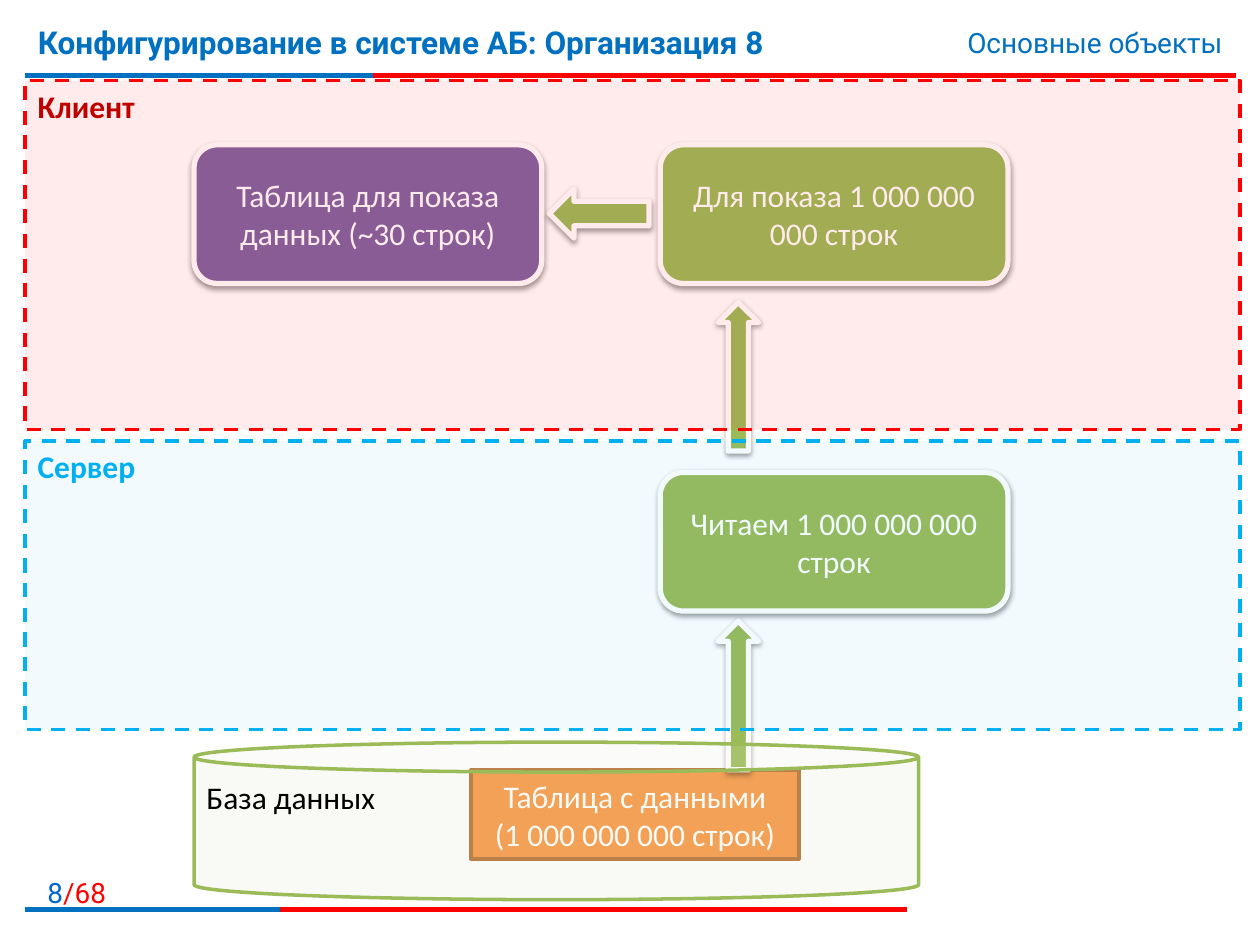
import pptx
import pptx.util
import pptx.dml.color
import pptx.enum.dml
import pptx.enum.shapes
import pptx.enum.text
import pptx.oxml
import pptx.oxml.ns
import lxml.etree

Inches = pptx.util.Inches
Pt = pptx.util.Pt
RGBColor = pptx.dml.color.RGBColor
SHAPE = pptx.enum.shapes.MSO_SHAPE
ALIGN = pptx.enum.text.PP_ALIGN
ANCHOR = pptx.enum.text.MSO_ANCHOR
qn = pptx.oxml.ns.qn

BLUE = RGBColor(0x00, 0x70, 0xC0)
PAGE_BLUE = RGBColor(0x00, 0x66, 0xCC)
RED = RGBColor(0xFF, 0x00, 0x00)
DARK_RED = RGBColor(0xC0, 0x00, 0x00)
SKY = RGBColor(0x00, 0xB0, 0xF0)
GREEN = RGBColor(0x9B, 0xBB, 0x59)
PALE_GREEN = RGBColor(0xD7, 0xE4, 0xBD)
PURPLE = RGBColor(0x80, 0x64, 0xA2)
ORANGE = RGBColor(0xF7, 0x96, 0x46)
BROWN = RGBColor(0xB7, 0x6F, 0x34)
WHITE = RGBColor(0xFF, 0xFF, 0xFF)
BLACK = RGBColor(0x00, 0x00, 0x00)


def place(item, box):
    """Set left, top, width and height in inches."""
    item.left, item.top, item.width, item.height = map(Inches, box)


def write(frame, text, color, size=18, font="Calibri", bold=False,
          align=ALIGN.LEFT, anchor=ANCHOR.TOP):
    """Fill a text frame and format all of its runs."""
    frame.text = text
    frame.word_wrap = True
    frame.vertical_anchor = anchor
    for paragraph in frame.paragraphs:
        paragraph.alignment = align
        for run in paragraph.runs:
            run.font.name = font
            run.font.size = Pt(size)
            run.font.bold = bold
            run.font.color.rgb = color


def add_rule(slide, y, right, color):
    """Draw a horizontal rule from the left margin."""
    rule = slide.shapes.add_connector(
        pptx.enum.shapes.MSO_CONNECTOR.STRAIGHT,
        Inches(0.2), Inches(y), Inches(right), Inches(y))
    rule.line.color.rgb = color
    rule.line.width = Pt(3)
    lxml.etree.SubElement(rule._element.spPr, qn("a:effectLst"))


def add_figure(slide, kind, box, fill, line, width=2, opacity=100):
    """Add a flat filled and outlined preset shape."""
    figure = slide.shapes.add_shape(kind, *map(Inches, box))
    figure.shadow.inherit = False
    figure.fill.solid()
    figure.fill.fore_color.rgb = fill
    figure.line.color.rgb = line
    figure.line.width = Pt(width)
    if opacity < 100:
        color = figure._element.spPr.find(qn("a:solidFill"))[0]
        lxml.etree.SubElement(color, qn("a:alpha"), val=str(opacity * 1000))
    return figure


def add_raised(slide, kind, box, fill):
    """Add a white-edged shape with a soft shadow below it."""
    figure = add_figure(slide, kind, box, fill, WHITE, 3)
    effects = figure._element.spPr.find(qn("a:effectLst"))
    shadow = lxml.etree.SubElement(
        effects, qn("a:outerShdw"), blurRad="40000", dist="20000",
        dir="5400000", rotWithShape="0")
    color = lxml.etree.SubElement(shadow, qn("a:srgbClr"), val="000000")
    lxml.etree.SubElement(color, qn("a:alpha"), val="38000")
    return figure


def add_step(slide, left, top, text, fill):
    """Add a rounded box for one step of the data flow."""
    step = add_raised(slide, SHAPE.ROUNDED_RECTANGLE, (left, top, 2.76, 1.1), fill)
    write(step.text_frame, text, WHITE, align=ALIGN.CENTER, anchor=ANCHOR.MIDDLE)


def add_zone(slide, top, height, name, color, name_color, opacity):
    """Add a translucent dashed zone with its name."""
    zone = add_figure(slide, SHAPE.RECTANGLE, (0.2, top, 9.64, height),
                      color, color, opacity=opacity)
    zone.line.dash_style = pptx.enum.dml.MSO_LINE.DASH
    write(zone.text_frame, name, name_color, bold=True)


def add_header_and_footer(slide):
    """Add the rules, the title, the section name and the page number."""
    for y, right, blue_right in ((0.6, 9.81, 2.96), (7.22, 7.2, 2.22)):
        add_rule(slide, y, right, RED)
        add_rule(slide, y, blue_right, BLUE)

    title = slide.shapes.title
    place(title, (0.2, 0.13, 7.4, 0.62))
    write(title.text_frame, "Конфигурирование в системе АБ: Организация 8",
          BLUE, font="Roboto", bold=True)

    section = slide.shapes.add_textbox(*map(Inches, (5.94, 0.15, 3.86, 0.37)))
    write(section.text_frame, "Основные объекты", BLUE, 16, "Roboto",
          align=ALIGN.RIGHT)

    page = slide.shapes.add_textbox(*map(Inches, (0, 6.9, 0.94, 0.32)))
    write(page.text_frame, "8", PAGE_BLUE, 16, "Roboto", align=ALIGN.RIGHT)
    total = page.text_frame.paragraphs[0].add_run()
    total.text = "/68"
    total.font.name = "Roboto"
    total.font.size = Pt(16)
    total.font.color.rgb = RED


def add_data_flow(slide):
    """Add the steps and arrows from the database to the client."""
    source = add_figure(slide, SHAPE.RECTANGLE, (3.74, 6.11, 2.6, 0.71),
                        ORANGE, BROWN)
    write(source.text_frame, "Таблица с данными\n(1 000 000 000 строк)", WHITE,
          align=ALIGN.CENTER, anchor=ANCHOR.MIDDLE)

    add_step(slide, 1.54, 1.15, "Таблица для показа данных (~30 строк)", PURPLE)
    add_step(slide, 5.24, 3.75, "Читаем 1 000 000 000 строк", GREEN)
    add_step(slide, 5.24, 1.15, "Для показа 1 000 000 000 строк", GREEN)

    for top in (4.93, 2.4):
        add_raised(slide, SHAPE.UP_ARROW, (5.7, top, 0.32, 1.18), GREEN)
    add_raised(slide, SHAPE.LEFT_ARROW, (4.36, 1.5, 0.79, 0.39), GREEN)


def add_tiers(slide):
    """Lay the server, client and database areas over the flow."""
    add_zone(slide, 3.5, 2.29, "Сервер", SKY, SKY, 5)
    add_zone(slide, 0.64, 2.77, "Клиент", RED, DARK_RED, 8)
    database = add_figure(slide, SHAPE.CAN, (1.54, 5.89, 5.75, 1.25),
                          PALE_GREEN, GREEN, opacity=15)
    database.adjustments[0] = 0.19
    write(database.text_frame, "База данных", BLACK)


def main():
    """Build and save the slide."""
    deck = pptx.Presentation()
    deck.slide_width, deck.slide_height = Inches(10), Inches(7.5)
    slide = deck.slides.add_slide(deck.slide_layouts[5])
    add_header_and_footer(slide)
    add_data_flow(slide)
    add_tiers(slide)
    deck.save("out.pptx")


main()
